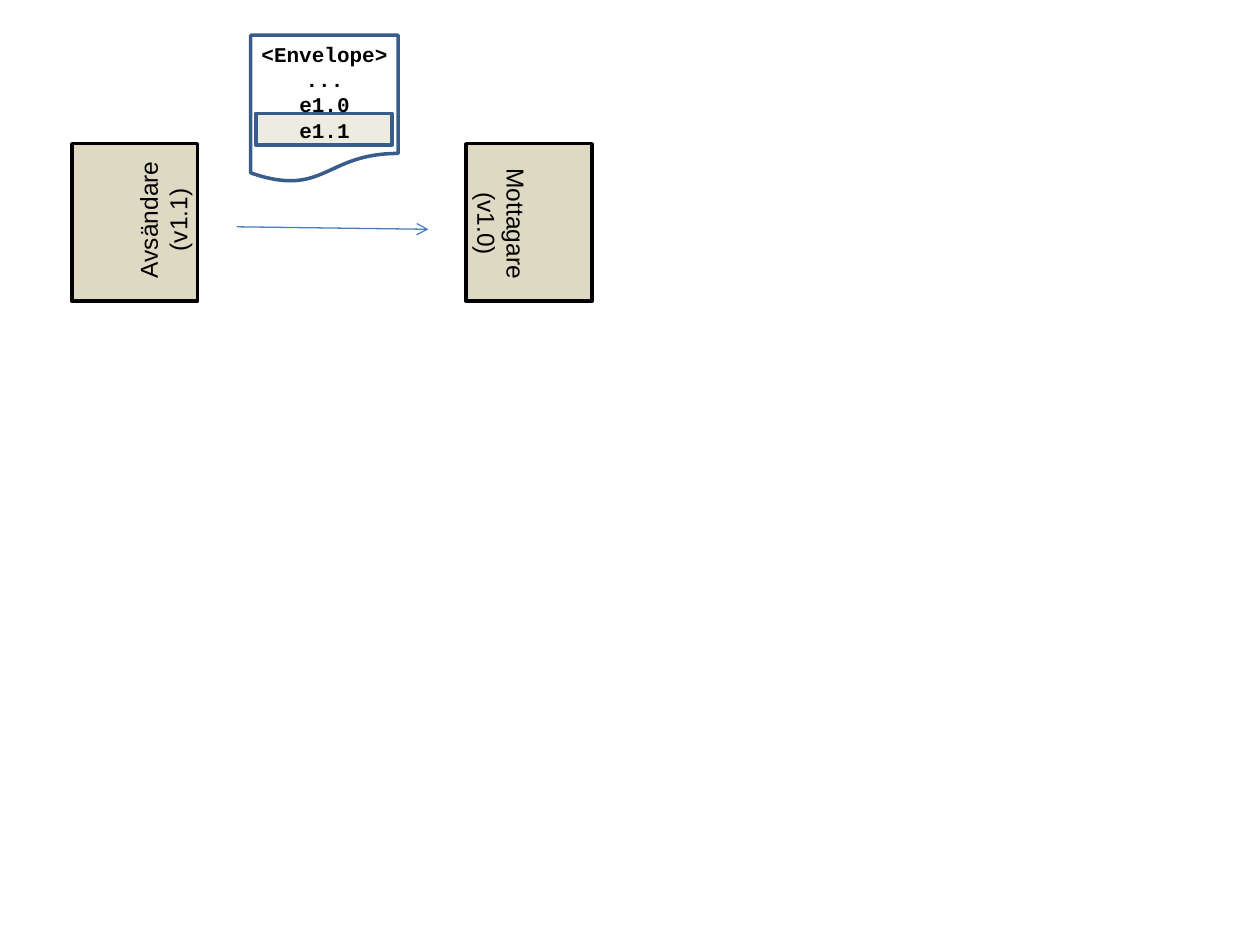
import pptx
import pptx.dml.color
import pptx.enum.shapes
import pptx.enum.text
import pptx.oxml.ns
import pptx.util
from lxml import etree

SHAPE = pptx.enum.shapes.MSO_SHAPE
SLIDE_SIZE = (10, 7.5)
BLACK, SAND, PAPER, HIGHLIGHT = "000000", "DDD9C3", "FFFFFF", "EEECE1"
OUTLINE, ARROW = "385D8A", "4A7EBB"

SYSTEM_TOP, SYSTEM_SIZE = 1.14, (1, 1.25)
# left edge of the system, its label lines, label box, label rotation
SYSTEMS = [
    (3.7, ["Mottagare", "(v1.0)"], (3.44, 1.49, 1.08, 0.57), 90),
    (0.57, ["Avsändare", "(v1.1)"], (0.73, 1.46, 1.13, 0.57), 270),
]
MESSAGE_LINES = ["<Envelope>", "...", "e1.0", "e1.1"]
MESSAGE_BOX = (1.7, 0.28, 1.75, 1.1)
DOCUMENT_BOX = (1.99, 0.28, 1.17, 1.17)
NEW_ELEMENT_BOX = (2.03, 0.9, 1.08, 0.25)
ARROW_ENDS = (1.88, 1.8, 3.4, 1.82)


def color(value):
    return pptx.dml.color.RGBColor.from_string(value)


def inches(values):
    return [pptx.util.Inches(value) for value in values]


def add_outlined(slide, kind, box, fill, line):
    shape = slide.shapes.add_shape(kind, *inches(box))
    shape.shadow.inherit = False
    shape.fill.solid()
    shape.fill.fore_color.rgb = color(fill)
    shape.line.color.rgb = color(line)
    shape.line.width = pptx.util.Pt(2)


def add_label(slide, box, lines, font, size, bold=False, rotation=0, wrap=True):
    shape = slide.shapes.add_textbox(*inches(box))
    shape.rotation = rotation
    frame = shape.text_frame
    frame.word_wrap = wrap
    frame.auto_size = pptx.enum.text.MSO_AUTO_SIZE.SHAPE_TO_FIT_TEXT
    for index, line in enumerate(lines):
        paragraph = frame.add_paragraph() if index else frame.paragraphs[0]
        paragraph.alignment = pptx.enum.text.PP_ALIGN.CENTER
        run = paragraph.add_run()
        run.text = line
        run.font.name = font
        run.font.size = pptx.util.Pt(size)
        run.font.bold = bold
        run.font.color.rgb = color(BLACK)


def add_arrow(slide, ends):
    connector = slide.shapes.add_connector(
        pptx.enum.shapes.MSO_CONNECTOR.STRAIGHT, *inches(ends))
    connector.line.color.rgb = color(ARROW)
    connector.line.width = pptx.util.Pt(0.75)
    qn = pptx.oxml.ns.qn
    properties = connector._element.spPr
    etree.SubElement(properties.find(qn("a:ln")), qn("a:tailEnd"), type="arrow")
    etree.SubElement(properties, qn("a:effectLst"))


def main():
    presentation = pptx.Presentation()
    presentation.slide_width, presentation.slide_height = inches(SLIDE_SIZE)
    slide = presentation.slides.add_slide(presentation.slide_layouts[6])

    for left, lines, label_box, rotation in SYSTEMS:
        add_outlined(slide, SHAPE.RECTANGLE, (left, SYSTEM_TOP, *SYSTEM_SIZE), SAND, BLACK)
        add_label(slide, label_box, lines, "Arial", 14, rotation=rotation, wrap=False)

    add_outlined(slide, SHAPE.FLOWCHART_DOCUMENT, DOCUMENT_BOX, PAPER, OUTLINE)
    add_outlined(slide, SHAPE.RECTANGLE, NEW_ELEMENT_BOX, HIGHLIGHT, OUTLINE)
    add_label(slide, MESSAGE_BOX, MESSAGE_LINES, "Courier New", 12, bold=True)
    add_arrow(slide, ARROW_ENDS)
    presentation.save("out.pptx")


if __name__ == "__main__":
    main()
